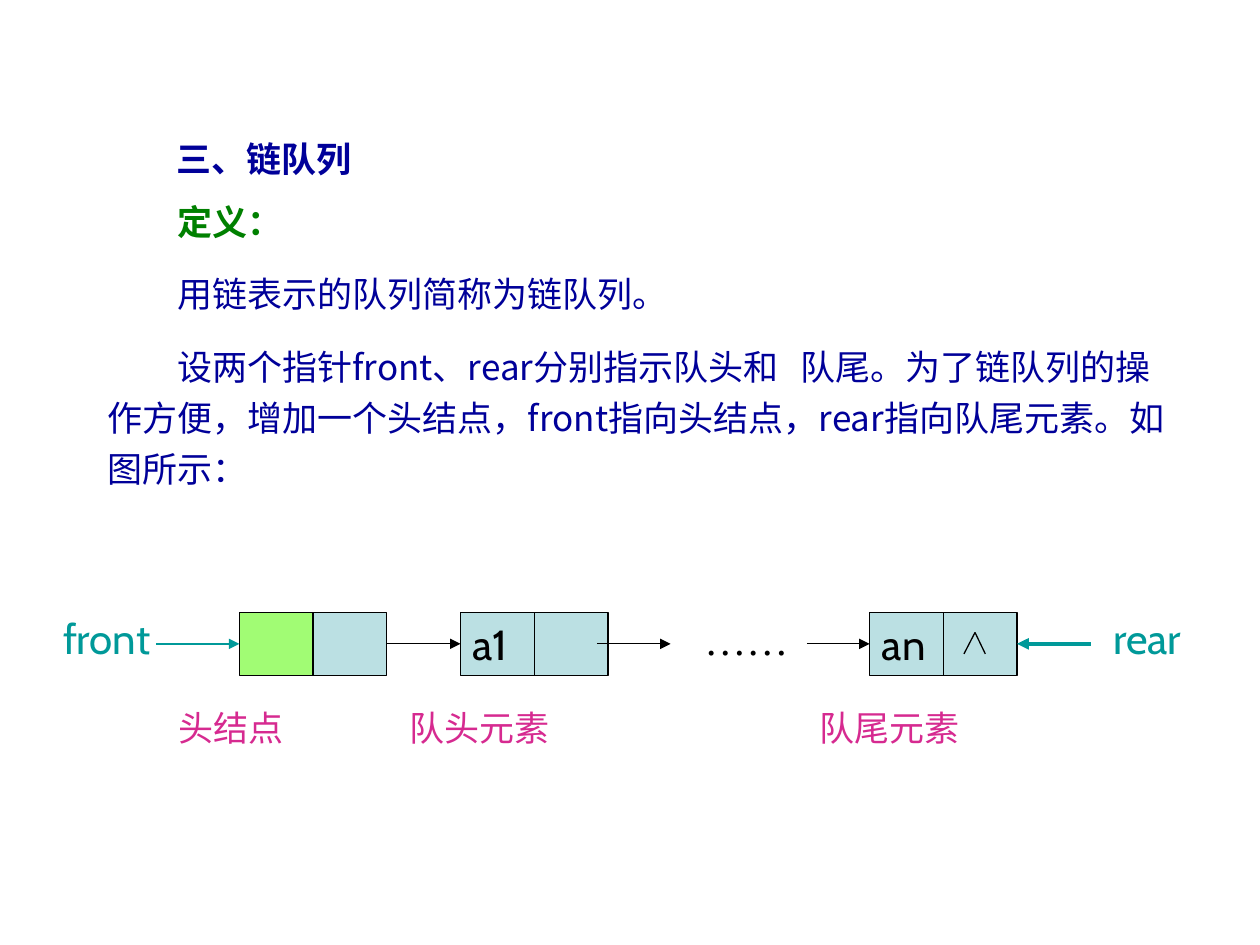
"""Build a slide that defines the linked queue and draws its nodes and pointers."""
from lxml.etree import SubElement
from pptx import Presentation
from pptx.dml.color import RGBColor
from pptx.enum.shapes import MSO_CONNECTOR, MSO_SHAPE
from pptx.enum.text import MSO_ANCHOR, MSO_AUTO_SIZE, PP_ALIGN
from pptx.oxml.ns import qn
from pptx.util import Inches, Pt

NAVY, GREEN, TEAL, PINK, BLACK = "000099", "008000", "009999", "D62A90", "000000"
NODE, HEAD = "BBE0E3", "A1FC74"
CJK, LATIN, SERIF = "Noto Sans CJK SC", "Cabin", "Times New Roman"
LEFT, COLUMN, TOP, ROW = 1.9, 0.585, 4.86, 0.5


def place(column, row):
    """Turn a grid position into slide lengths."""
    return Inches(LEFT + column * COLUMN), Inches(TOP + row * ROW)


def write(paragraph, text, size, face, color, bold=False):
    """Add one formatted run, left aligned."""
    paragraph.alignment = PP_ALIGN.LEFT
    run = paragraph.add_run()
    run.text = text
    for key, value in {"size": Pt(size), "name": face, "bold": bold}.items():
        setattr(run.font, key, value)
    run.font.color.rgb = RGBColor.from_string(color)
    SubElement(run.font._element, qn("a:ea")).set("typeface", face)


deck = Presentation()
deck.slide_width, deck.slide_height = Inches(10), Inches(7.5)
slide = deck.slides.add_slide(deck.slide_layouts[1])
heading, definition = slide.placeholders

for holder, (left, top, width, height), anchor in (
    (heading, (1.3, 0.96, 4.51, 0.53), MSO_ANCHOR.MIDDLE),
    (definition, (0.75, 1.47, 8.61, 2.61), MSO_ANCHOR.TOP),
):
    holder.left, holder.top = Inches(left), Inches(top)
    holder.width, holder.height = Inches(width), Inches(height)
    frame_format = {"auto_size": MSO_AUTO_SIZE.NONE, "word_wrap": True, "vertical_anchor": anchor}
    for key, value in frame_format.items():
        setattr(holder.text_frame, key, value)

title_line = heading.text_frame.paragraphs[0]
title_line.line_spacing = Pt(29)
write(title_line, "三、链队列", 20, CJK, NAVY, True)

statements = (
    ("定义：", GREEN, True),
    ("用链表示的队列简称为链队列。", NAVY, False),
    ("设两个指针front、rear分别指示队头和\t队尾。为了链队列的操作方便，"
     "增加一个头结点，front指向头结点，rear指向队尾元素。如图所示：", NAVY, False),
)
for index, (text, color, bold) in enumerate(statements):
    body = definition.text_frame
    paragraph = body.add_paragraph() if index else body.paragraphs[0]
    paragraph.line_spacing = Pt(29)
    paragraph.space_before = Pt(12.5 if index else 0)
    properties = paragraph._p.get_or_add_pPr()
    properties.set("marL", "0")
    properties.set("indent", str(Pt(40)))
    SubElement(properties, qn("a:buNone"))
    stop = SubElement(SubElement(properties, qn("a:tabLst")), qn("a:tab"))
    stop.set("pos", str(Inches(6)))
    stop.set("algn", "l")
    write(paragraph, text, 20, CJK, color, bold)

for column, span, fill, element in (
    (0, 1, HEAD, ""), (1, 1, NODE, ""), (3, 2, NODE, "a1"), (8.55, 2, NODE, "an"),
):
    node = slide.shapes.add_shape(
        MSO_SHAPE.RECTANGLE, *place(column, 0), Inches(span * COLUMN), Inches(ROW))
    node.shadow.inherit = False
    node.fill.solid()
    node.fill.fore_color.rgb = RGBColor.from_string(fill)
    node.line.color.rgb = RGBColor.from_string(BLACK)
    node.line.width = Pt(0.75)
    if element:
        node.text_frame.vertical_anchor = MSO_ANCHOR.MIDDLE
        write(node.text_frame.paragraphs[0], element, 24, LATIN, BLACK)

for start, end, color, weight, arrow in (
    ((4, 0), (4, 1), BLACK, 0.75, False),
    ((9.55, 0), (9.55, 1), BLACK, 0.75, False),
    ((9.98, 0.32), (9.83, 0.66), BLACK, 0.75, False),
    ((9.98, 0.32), (10.12, 0.66), BLACK, 0.75, False),
    ((2, 0.5), (3, 0.5), BLACK, 0.75, True),
    ((4.85, 0.5), (5.85, 0.5), BLACK, 0.75, True),
    ((7.7, 0.5), (8.55, 0.5), BLACK, 0.75, True),
    ((-1.13, 0.5), (0, 0.5), TEAL, 1.5, True),
    ((11.55, 0.5), (10.55, 0.5), TEAL, 2.25, True),
):
    link = slide.shapes.add_connector(MSO_CONNECTOR.STRAIGHT, *place(*start), *place(*end))
    link.line.color.rgb = RGBColor.from_string(color)
    link.line.width = Pt(weight)
    if arrow:
        SubElement(link.line._get_or_add_ln(), qn("a:tailEnd")).set("type", "triangle")
    SubElement(link._element.spPr, qn("a:effectLst"))

for text, column, row, width, height, size, face, color in (
    ("front", -2.56, -0.18, 1, 0.58, 24, LATIN, TEAL),
    ("rear", 11.69, -0.18, 1, 0.58, 24, LATIN, TEAL),
    ("……", 6.14, 0, 1, 0.42, 24, SERIF, BLACK),
    ("头结点", -1, 1.32, 2.17, 0.5, 20, LATIN, PINK),
    ("队头元素", 2.14, 1.32, 2.17, 0.5, 20, LATIN, PINK),
    ("队尾元素", 7.7, 1.32, 2.17, 0.5, 20, LATIN, PINK),
):
    label = slide.shapes.add_textbox(*place(column, row), Inches(width), Inches(height))
    label.text_frame.word_wrap = True
    label.text_frame.vertical_anchor = MSO_ANCHOR.MIDDLE
    write(label.text_frame.paragraphs[0], text, size, face, color)

deck.save("out.pptx")
